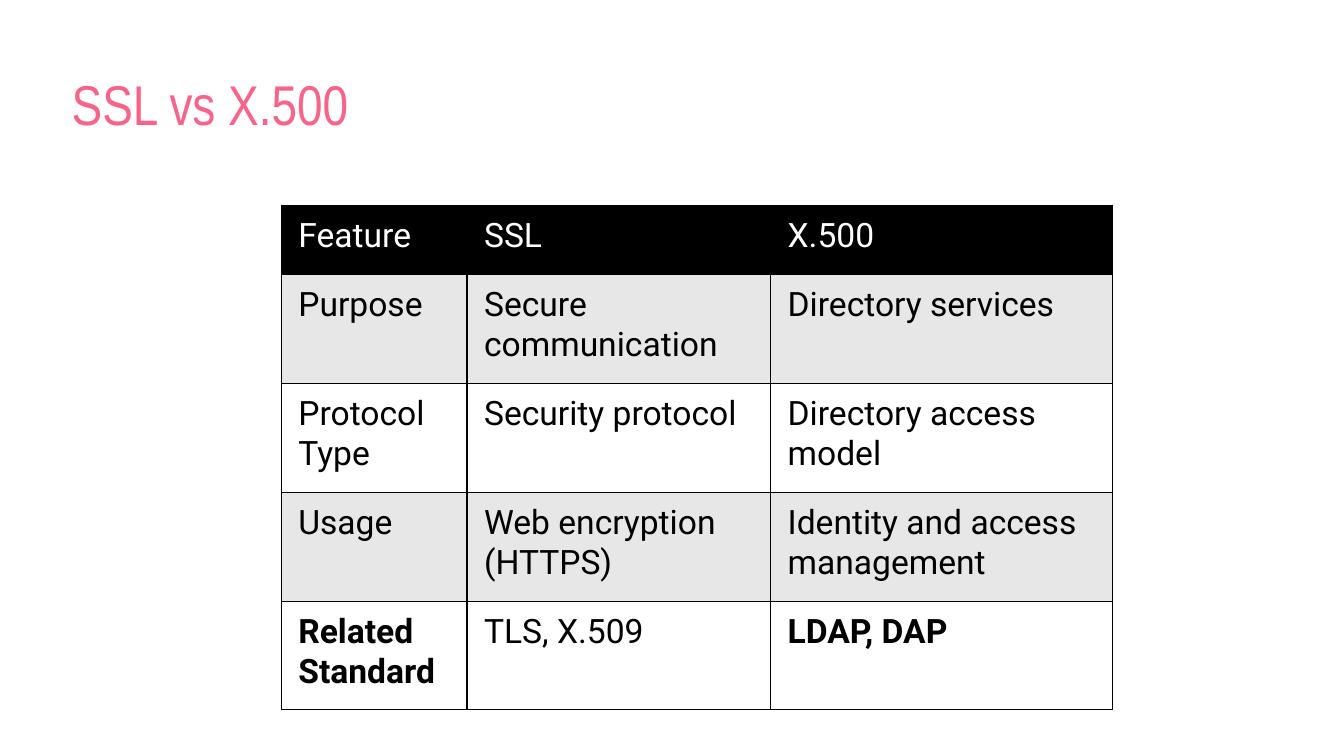
from dataclasses import dataclass

from lxml import etree
from pptx import Presentation
from pptx.dml.color import RGBColor
from pptx.enum import text
from pptx.oxml import ns
from pptx.util import Cm, Pt


@dataclass(frozen=True)
class Theme:
    title_font: str = "Arial Narrow"
    body_font: str = "Roboto"
    title_size: int = 40
    body_size: int = 24
    border_width: int = 1
    pink: str = "FA6389"
    black: str = "000000"
    white: str = "FFFFFF"
    band: str = "E7E7E7"


THEME = Theme()

COLUMN_WIDTHS = [4.68, 7.65, 8.62]
ROW_HEIGHTS = [1.73, 2.75, 2.75, 2.75, 2.72]
ROWS = [
    ["Feature", "SSL", "X.500"],
    ["Purpose", "Secure communication", "Directory services"],
    ["Protocol Type", "Security protocol", "Directory access model"],
    ["Usage", "Web encryption (HTTPS)", "Identity and access management"],
    ["Related Standard", "TLS, X.509", "LDAP, DAP"],
]
BOLD_ENTRIES = {"Related Standard", "LDAP, DAP"}


def add_run(paragraph, content, font, size, color, bold=False):
    run = paragraph.add_run()
    run.text = content
    run.font.name = font
    run.font.size = Pt(size)
    run.font.bold = bold
    run.font.color.rgb = RGBColor.from_string(color)


def add_title(slide, content):
    title = slide.shapes.title
    title.left, title.top = Cm(-6.1), Cm(1.57)
    title.width, title.height = Cm(22.78), Cm(2.03)
    frame = title.text_frame
    frame.auto_size = text.MSO_AUTO_SIZE.NONE
    frame.vertical_anchor = text.MSO_ANCHOR.BOTTOM
    paragraph = frame.paragraphs[0]
    paragraph.alignment = text.PP_ALIGN.CENTER
    paragraph.line_spacing = 0.9
    paragraph.space_after = Pt(6)
    add_run(paragraph, content, THEME.title_font, THEME.title_size, THEME.pink)


def add_borders(cell):
    properties = cell._tc.get_or_add_tcPr()
    for side in ("L", "R", "T", "B"):
        line = etree.SubElement(properties, ns.qn(f"a:ln{side}"), w=str(Pt(THEME.border_width)))
        fill = etree.SubElement(line, ns.qn("a:solidFill"))
        etree.SubElement(fill, ns.qn("a:srgbClr"), val=THEME.black)


def format_cell(cell, content, fill, color):
    add_borders(cell)
    cell.fill.solid()
    cell.fill.fore_color.rgb = RGBColor.from_string(fill)
    cell.margin_left = Cm(0.43)
    cell.margin_top = cell.margin_right = Cm(0.28)
    cell.margin_bottom = Cm(0.25)
    add_run(cell.text_frame.paragraphs[0], content, THEME.body_font,
            THEME.body_size, color, content in BOLD_ENTRIES)


def row_colors(index):
    if index == 0:
        return THEME.black, THEME.white
    return (THEME.band if index % 2 else THEME.white), THEME.black


def add_comparison(slide):
    table = slide.shapes.add_table(
        len(ROWS), len(COLUMN_WIDTHS), Cm(7.09), Cm(5.18),
        Cm(sum(COLUMN_WIDTHS)), Cm(sum(ROW_HEIGHTS))).table
    for column, width in zip(table.columns, COLUMN_WIDTHS):
        column.width = Cm(width)
    for index, (row, height, entries) in enumerate(zip(table.rows, ROW_HEIGHTS, ROWS)):
        row.height = Cm(height)
        for cell, content in zip(row.cells, entries):
            format_cell(cell, content, *row_colors(index))


def main():
    presentation = Presentation()
    presentation.slide_width, presentation.slide_height = Cm(33.87), Cm(19.05)
    slide = presentation.slides.add_slide(presentation.slide_layouts[5])
    add_title(slide, "SSL vs X.500")
    add_comparison(slide)
    presentation.save("out.pptx")


if __name__ == "__main__":
    main()
